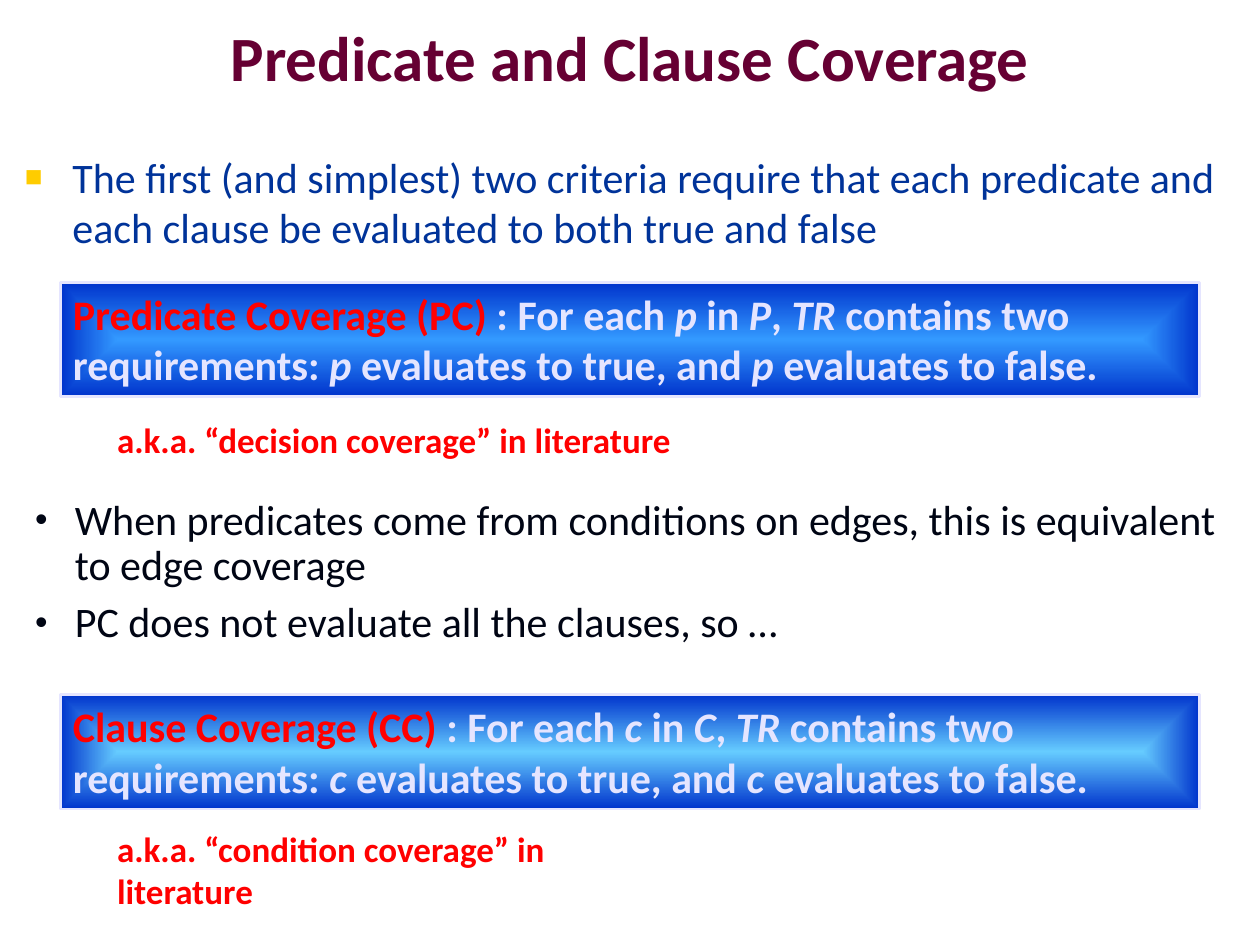
from lxml.etree import SubElement
from pptx import Presentation
from pptx.dml.color import RGBColor
from pptx.enum.shapes import MSO_SHAPE
from pptx.enum.text import MSO_ANCHOR, MSO_AUTO_SIZE, PP_ALIGN
from pptx.oxml.ns import qn
from pptx.util import Cm, Pt

HUES = {
    "title": "660033", "intro": "003399", "mark": "FFCC00", "body": "000514",
    "alert": "FF0000", "pale": "E5E5FF", "deep": "0033CC",
    "sky": "3399FF", "aqua": "66CCFF",
}


class Deck:
    """Hold the style and the current slide, with a method per element."""

    def __init__(self, font="Calibri", size=24):
        self.font, self.size = font, size
        self.prs = Presentation()
        self.prs.slide_width, self.prs.slide_height = Cm(25.4), Cm(19.05)
        self.slide = self.prs.slides.add_slide(self.prs.slide_layouts[6])

    def style(self, run, hue, size=None, bold=False, slant=False):
        font = run.font
        font.name, font.size = self.font, Pt(size or self.size)
        font.bold, font.italic = bold, slant
        font.color.rgb = RGBColor.from_string(HUES[hue])

    def text(self, area, lines, hue, size=None, bold=False, wrap=True):
        box = self.slide.shapes.add_textbox(*map(Cm, area))
        frame = box.text_frame
        frame.text = "\n".join(lines)
        frame.word_wrap = wrap
        for para in frame.paragraphs:
            for run in para.runs:
                self.style(run, hue, size, bold)
        return frame

    def title(self, area, words):
        frame = self.text(area, [words], "title", 36, True)
        frame.vertical_anchor = MSO_ANCHOR.MIDDLE
        frame.paragraphs[0].alignment = PP_ALIGN.CENTER

    def list(self, area, lines, hue, mark, scale, dent, tint=None, pitch=1.0):
        for para in self.text(area, lines, hue).paragraphs:
            para.line_spacing, para.space_after = pitch, Pt(7)
            props = para._p.get_or_add_pPr()
            props.set("marL", str(Cm(dent)))
            props.set("indent", str(-Cm(dent)))
            color = SubElement(props, qn("a:buClr"))
            SubElement(color, qn("a:srgbClr"), val=HUES[tint or hue])
            SubElement(props, qn("a:buSzPct"), val=str(scale * 1000))
            SubElement(props, qn("a:buFont"), typeface="Arial")
            SubElement(props, qn("a:buChar"), char=mark)

    def note(self, top, words):
        frame = self.text((2.11, top, 12, 1.12), [words], "alert", 20, True, False)
        frame.auto_size = MSO_AUTO_SIZE.SHAPE_TO_FIT_TEXT

    def glow(self, shape, core):
        shape.fill.gradient()
        for stop, hue in zip(shape.fill.gradient_stops, (core, "deep")):
            stop.color.rgb = RGBColor.from_string(HUES[hue])
        grad = shape._element.spPr.find(qn("a:gradFill"))
        grad.remove(grad.find(qn("a:lin")))
        path = SubElement(grad, qn("a:path"), path="shape")
        SubElement(path, qn("a:fillToRect"), dict.fromkeys("ltrb", "50000"))

    def panel(self, top, core, name, item, group):
        shape = self.slide.shapes.add_shape(
            MSO_SHAPE.RECTANGLE, Cm(1.22), Cm(top), Cm(22.96), Cm(2.31))
        shape.shadow.inherit = False
        self.glow(shape, core)
        shape.line.color.rgb = RGBColor.from_string(HUES["pale"])
        shape.line.width = Pt(1.5)
        frame = shape.text_frame
        frame.word_wrap, frame.vertical_anchor = True, MSO_ANCHOR.TOP
        frame.auto_size = MSO_AUTO_SIZE.SHAPE_TO_FIT_TEXT
        para = frame.paragraphs[0]
        para.alignment = PP_ALIGN.LEFT
        para.text = name + " "
        self.style(para.runs[0], "alert", bold=True)
        rule = (f": For each |{item}| in |{group}|, |TR| contains two requirements: "
                f"|{item}| evaluates to true, and |{item}| evaluates to false.")
        for spot, part in enumerate(rule.split("|")):
            run = para.add_run()
            run.text = part
            self.style(run, "pale", bold=True, slant=spot % 2 == 1)


def main():
    deck = Deck()
    deck.title((1.9, 0.13, 21.6, 2), "Predicate and Clause Coverage")
    deck.list((0.25, 2.92, 24.9, 2.26),
              ["The first (and simplest) two criteria require that each predicate "
               "and each clause be evaluated to both true and false"],
              "intro", "■", 70, 0.96, "mark")
    deck.panel(5.69, "sky", "Predicate Coverage (PC)", "p", "P")
    deck.panel(14, "aqua", "Clause Coverage (CC)", "c", "C")
    deck.list((0.46, 9.93, 24.64, 3.81),
              ["When predicates come from conditions on edges, this is equivalent "
               "to edge coverage",
               "PC does not evaluate all the clauses, so …"],
              "body", "•", 85, 0.8, pitch=0.9)
    deck.note(16.56, "a.k.a. “condition coverage” in literature")
    deck.note(8.31, "a.k.a. “decision coverage” in literature")
    deck.prs.save("out.pptx")


if __name__ == "__main__":
    main()
